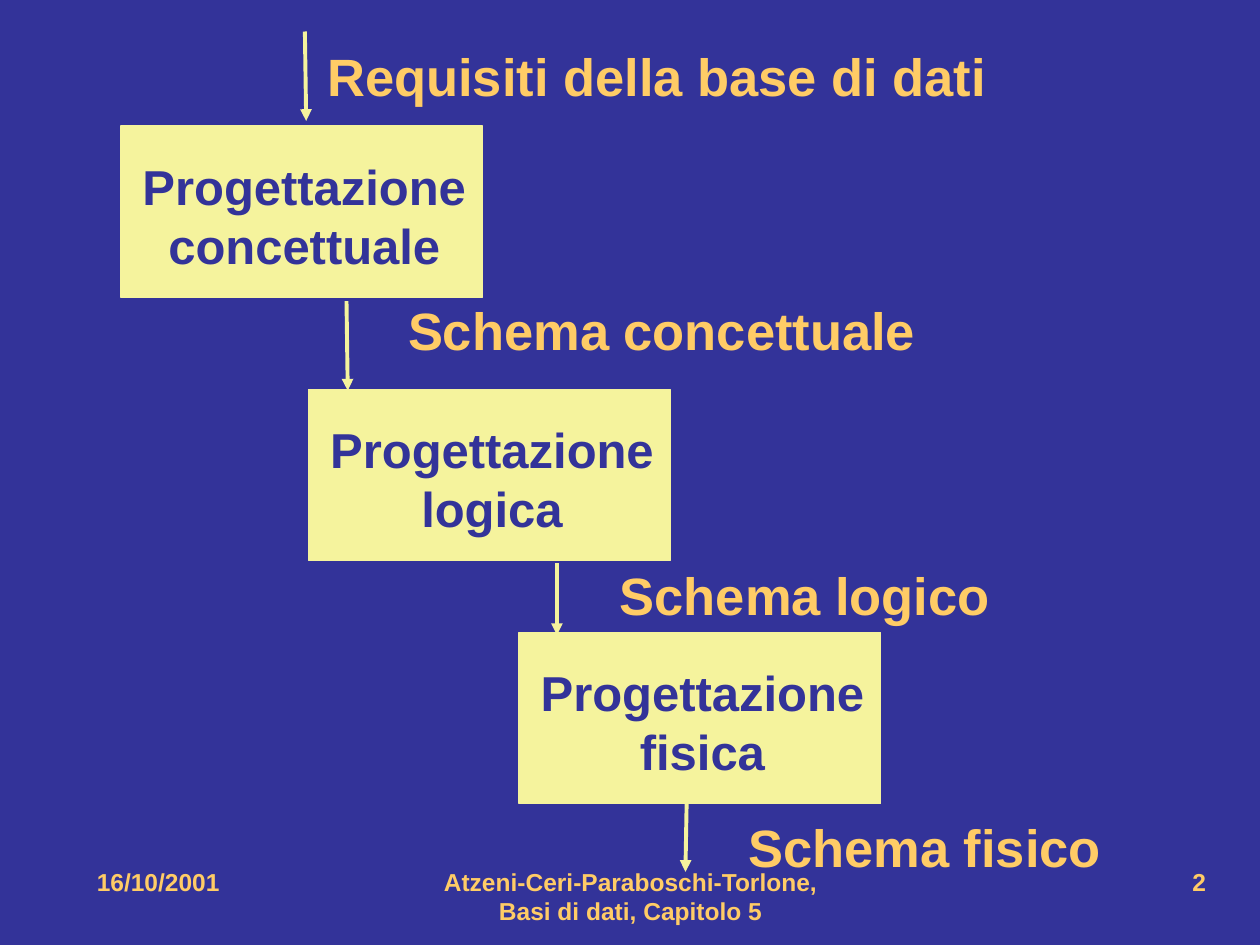
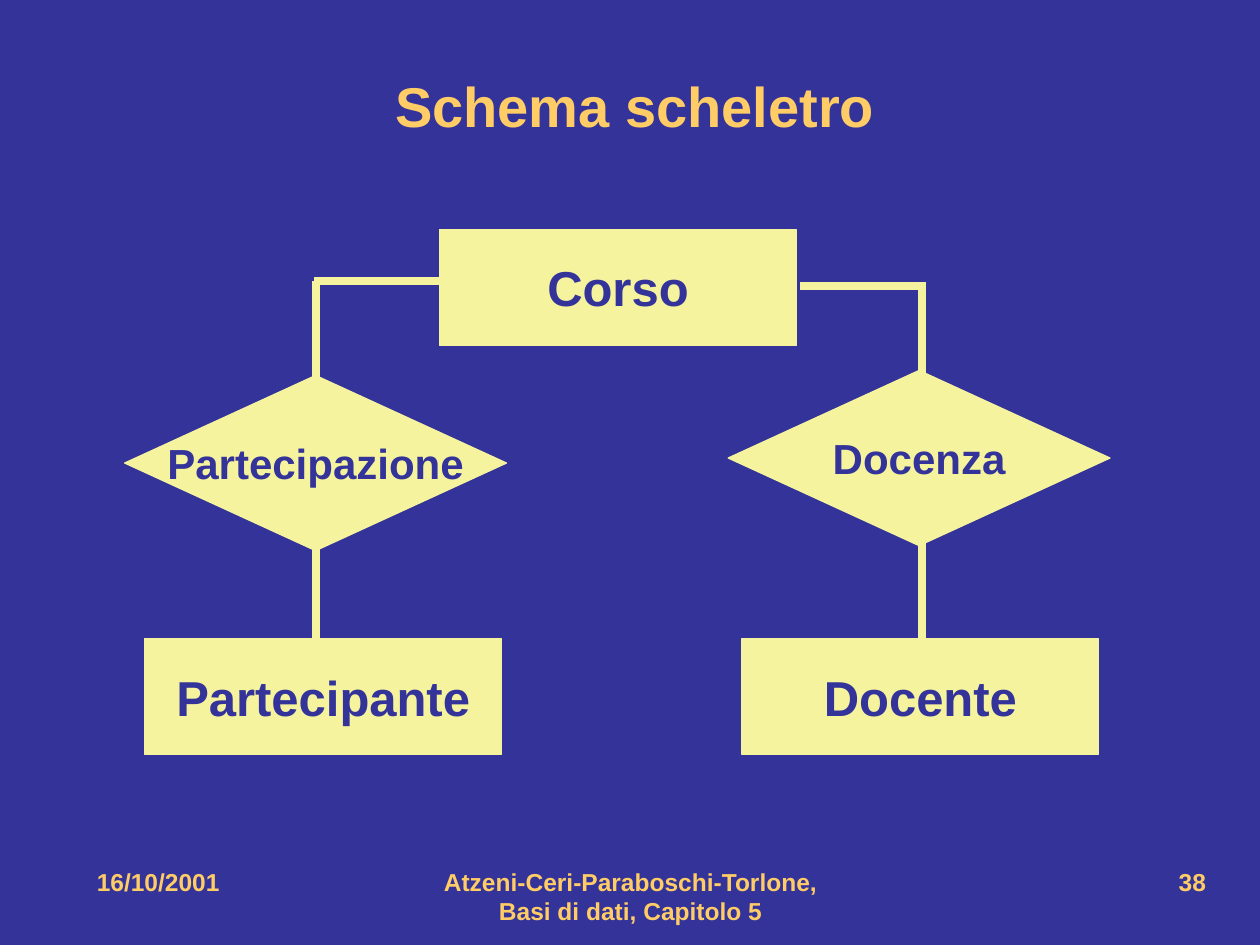
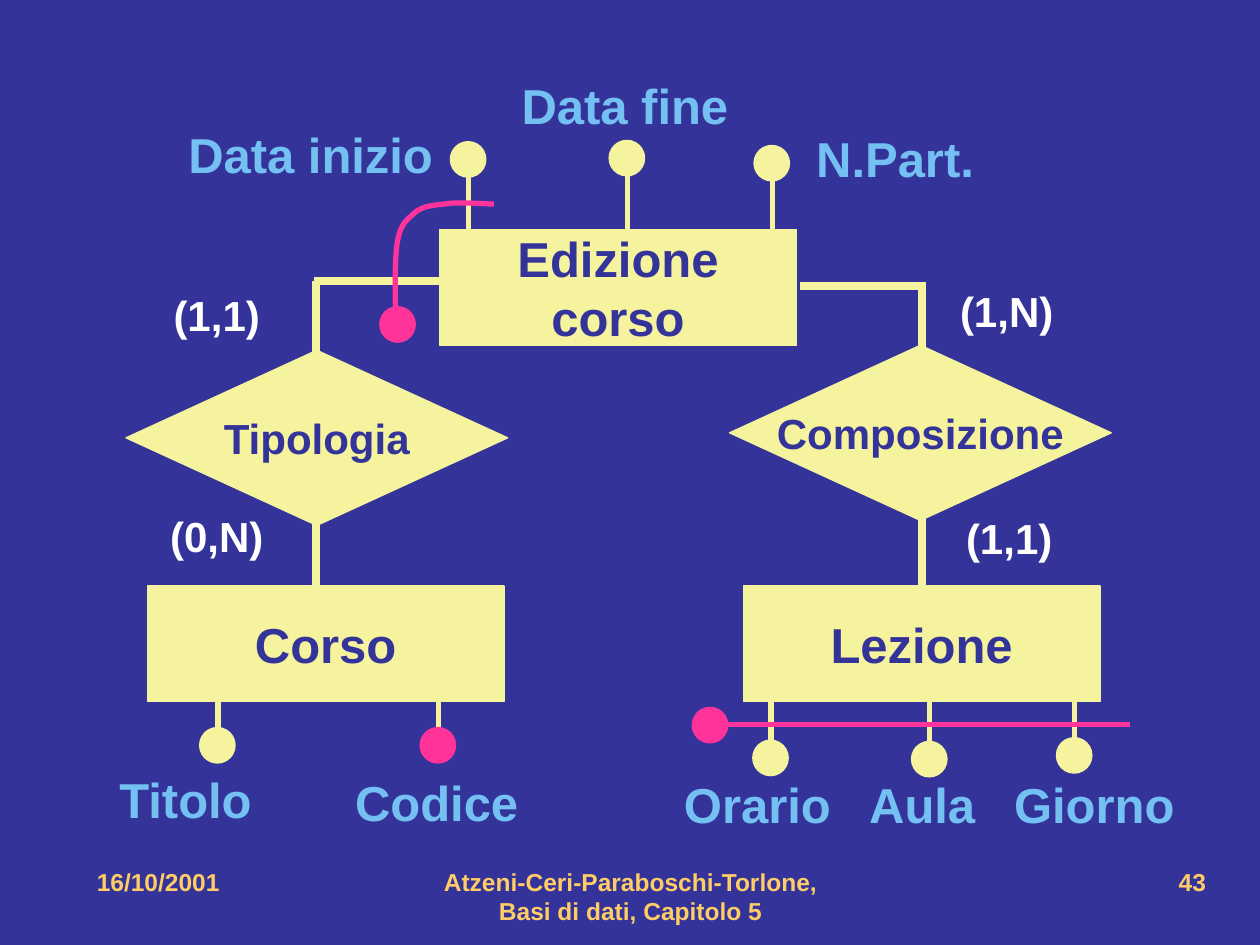
from dataclasses import dataclass

from lxml import etree
from pptx import Presentation
from pptx.dml.color import RGBColor
from pptx.enum.shapes import MSO_CONNECTOR, MSO_SHAPE
from pptx.enum.text import MSO_ANCHOR, MSO_AUTO_SIZE, PP_ALIGN
from pptx.oxml.ns import qn
from pptx.shapes.autoshape import Shape
from pptx.slide import Slide
from pptx.text.text import TextFrame
from pptx.util import Inches, Pt

STRAIGHT = MSO_CONNECTOR.STRAIGHT
RECTANGLE, DIAMOND, OVAL = MSO_SHAPE.RECTANGLE, MSO_SHAPE.DIAMOND, MSO_SHAPE.OVAL
LEFT, CENTER, RIGHT = PP_ALIGN.LEFT, PP_ALIGN.CENTER, PP_ALIGN.RIGHT
TOP, MIDDLE = MSO_ANCHOR.TOP, MSO_ANCHOR.MIDDLE
FIXED_SIZE, FIT_TEXT = MSO_AUTO_SIZE.NONE, MSO_AUTO_SIZE.SHAPE_TO_FIT_TEXT

NAVY = RGBColor(0x33, 0x33, 0x99)
YELLOW = RGBColor(0xF5, 0xF3, 0x9D)
ORANGE = RGBColor(0xFF, 0xCC, 0x66)
SKY = RGBColor(0x75, 0xC0, 0xF3)
PINK = RGBColor(0xFF, 0x33, 0x99)
WHITE = RGBColor(0xFF, 0xFF, 0xFF)

FONT = "Arial"
TITLE_ONLY, BLANK = 5, 6
DATE = "16/10/2001"
SOURCE = "Atzeni-Ceri-Paraboschi-Torlone, Basi di dati, Capitolo 5"
FOOTER_TOP, FOOTER_HEIGHT = 6.83, 0.5
ENTITY_WIDTH, ENTITY_HEIGHT = 2.83, 0.92
RELATION_WIDTH, RELATION_HEIGHT = 3.03, 1.39
DOT = 0.25
STEM = 0.75
CURVE_STEPS = 12

Point = tuple[float, float]
Area = tuple[float, float, float, float]


@dataclass(frozen=True)
class Phase:
    name: str
    left: float
    top: float


@dataclass(frozen=True)
class Label:
    text: str
    area: Area
    align: PP_ALIGN = LEFT


@dataclass(frozen=True)
class Arrow:
    start: Point
    end: Point


@dataclass(frozen=True)
class Branch:
    relation: str
    relation_at: Point
    entity: str
    entity_at: Point


@dataclass(frozen=True)
class Attribute:
    label: Label
    center: float
    dot_top: float
    above: bool = False
    color: RGBColor = YELLOW


PHASES = (
    Phase("concettuale", 0.96, 1.0),
    Phase("logica", 2.45, 3.09),
    Phase("fisica", 4.12, 5.02),
)
PHASE_ARROWS = (
    Arrow((2.42, 0.25), (2.43, 0.96)),
    Arrow((2.75, 2.39), (2.76, 3.1)),
    Arrow((4.42, 4.47), (4.42, 5.04)),
    Arrow((5.45, 6.35), (5.44, 6.92)),
)
PHASE_RESULTS = (
    Label("Requisiti della base di dati", (2.5, 0.3, 5.43, 0.6)),
    Label("Schema concettuale", (3.14, 2.32, 4.23, 0.6)),
    Label("Schema logico", (4.82, 4.42, 3.14, 0.6)),
    Label("Schema fisico", (5.84, 6.42, 3.0, 0.6)),
)
SKELETON_BRANCHES = (
    Branch("Partecipazione", (0.99, 2.98), "Partecipante", (1.15, 5.07)),
    Branch("Docenza", (5.78, 2.94), "Docente", (5.89, 5.07)),
)
EDITION_BRANCHES = (
    Branch("Tipologia", (1.0, 2.78), "Corso", (1.17, 4.65)),
    Branch("Composizione", (5.79, 2.74), "Lezione", (5.9, 4.65)),
)
BRANCH_LINES = (
    ((3.49, 2.23), (2.49, 2.23)),
    ((2.51, 2.23), (2.51, 5.15)),
    ((6.35, 2.27), (7.35, 2.27)),
    ((7.32, 2.27), (7.32, 5.19)),
)
CARDINALITIES = (
    Label("(1,1)", (1.27, 2.25, 0.9, 0.5), CENTER),
    Label("(0,N)", (1.24, 4.0, 0.96, 0.5), CENTER),
    Label("(1,N)", (7.51, 2.22, 0.96, 0.5), CENTER),
    Label("(1,1)", (7.56, 4.02, 0.9, 0.5), CENTER),
)
ATTRIBUTES = (
    Attribute(Label("Data inizio", (1.39, 0.94, 2.15, 0.57), CENTER), 3.72, 1.14, True),
    Attribute(Label("Data fine", (4.03, 0.55, 1.86, 0.57), CENTER), 4.98, 1.13, True),
    Attribute(Label("N.Part.", (6.38, 0.97, 1.46, 0.57)), 6.13, 1.17, True),
    Attribute(Label("Titolo", (0.85, 6.06, 1.26, 0.57)), 1.73, 5.79),
    Attribute(Label("Codice", (2.72, 6.08, 1.51, 0.57)), 3.48, 5.79, color=PINK),
    Attribute(Label("Orario", (5.33, 6.1, 1.38, 0.57)), 6.12, 5.89),
    Attribute(Label("Aula", (6.8, 6.1, 1.05, 0.57)), 7.38, 5.9),
    Attribute(Label("Giorno", (7.95, 6.1, 1.48, 0.57)), 8.53, 5.87),
)
IDENTIFIER_START: Point = (3.92, 1.62)
IDENTIFIER_CURVES = (
    ((3.86, 1.62), (3.63, 1.6), (3.53, 1.62)),
    ((3.42, 1.63), (3.34, 1.64), (3.28, 1.7)),
    ((3.21, 1.76), (3.17, 1.8), (3.15, 1.95)),
    ((3.13, 2.09), (3.14, 2.43), (3.14, 2.56)),
)


def write_text(
    frame: TextFrame,
    text: str,
    *,
    size: float,
    color: RGBColor,
    align: PP_ALIGN = CENTER,
    anchor: MSO_ANCHOR = MIDDLE,
    wrap: bool = False,
    grow: bool = False,
    margins: Point = (0.1, 0.05),
) -> None:
    frame.text = text
    frame.word_wrap = wrap
    frame.auto_size = FIT_TEXT if grow else FIXED_SIZE
    frame.vertical_anchor = anchor
    frame.margin_left = frame.margin_right = Inches(margins[0])
    frame.margin_top = frame.margin_bottom = Inches(margins[1])
    for paragraph in frame.paragraphs:
        paragraph.alignment = align
        for run in paragraph.runs:
            run.font.name = FONT
            run.font.size = Pt(size)
            run.font.bold = True
            run.font.color.rgb = color


def add_text(slide: Slide, label: Label, **text_format) -> None:
    box = slide.shapes.add_textbox(*map(Inches, label.area))
    write_text(box.text_frame, label.text, align=label.align, **text_format)


def add_figure(
    slide: Slide,
    kind: MSO_SHAPE,
    area: Area,
    color: RGBColor = YELLOW,
    line_width: float = 0.75,
) -> Shape:
    shape = slide.shapes.add_shape(kind, *map(Inches, area))
    shape.shadow.inherit = False
    shape.fill.solid()
    shape.fill.fore_color.rgb = color
    shape.line.color.rgb = color
    shape.line.width = Pt(line_width)
    return shape


def add_line(
    slide: Slide,
    start: Point,
    end: Point,
    width: float,
    color: RGBColor = YELLOW,
    arrow: bool = False,
) -> None:
    connector = slide.shapes.add_connector(STRAIGHT, *map(Inches, start + end))
    connector.line.color.rgb = color
    connector.line.width = Pt(width)
    properties = connector._element.spPr
    if arrow:
        etree.SubElement(properties.find(qn("a:ln")), qn("a:tailEnd"), type="triangle")
    etree.SubElement(properties, qn("a:effectLst"))


def add_entity(slide: Slide, name: str, position: Point) -> None:
    shape = add_figure(slide, RECTANGLE, position + (ENTITY_WIDTH, ENTITY_HEIGHT))
    write_text(shape.text_frame, name, size=28, color=NAVY)


def add_relation(slide: Slide, name: str, position: Point) -> None:
    shape = add_figure(slide, DIAMOND, position + (RELATION_WIDTH, RELATION_HEIGHT))
    write_text(shape.text_frame, name, size=24, color=NAVY)


def add_dot(slide: Slide, left: float, top: float, color: RGBColor) -> None:
    add_figure(slide, OVAL, (left, top, DOT, DOT), color, 3)


def add_phase(slide: Slide, phase: Phase) -> None:
    add_figure(slide, RECTANGLE, (phase.left, phase.top, 2.87, 1.36))
    inner = add_figure(
        slide, RECTANGLE, (phase.left + 0.17, phase.top + 0.24, 2.57, 0.93)
    )
    write_text(
        inner.text_frame,
        f"Progettazione\n{phase.name}",
        size=28,
        color=NAVY,
        anchor=TOP,
        grow=True,
        margins=(0, 0),
    )


def add_attribute(slide: Slide, attribute: Attribute) -> None:
    if attribute.above:
        stem_start = attribute.dot_top + DOT - 0.01
        stem_end = stem_start + STEM
    else:
        stem_start = attribute.dot_top + 0.01
        stem_end = stem_start - STEM
    center = attribute.center
    add_line(slide, (center, stem_start), (center, stem_end), 3)
    add_dot(slide, center - 0.13, attribute.dot_top, attribute.color)
    add_text(slide, attribute.label, size=28, color=SKY, anchor=TOP, grow=True)


def add_branches(slide: Slide, root: str, branches: tuple[Branch, ...]) -> None:
    for start, end in BRANCH_LINES:
        add_line(slide, start, end, 4.5)
    add_entity(slide, root, (3.49, 1.82))
    for branch in branches:
        add_relation(slide, branch.relation, branch.relation_at)
        add_entity(slide, branch.entity, branch.entity_at)


def curve_points(start: Point, curves: tuple) -> list[Point]:
    points = []
    for first, second, end in curves:
        for step in range(1, CURVE_STEPS + 1):
            t = step / CURVE_STEPS
            u = 1 - t
            points.append(
                tuple(
                    u**3 * a + 3 * u * u * t * b + 3 * u * t * t * c + t**3 * d
                    for a, b, c, d in zip(start, first, second, end)
                )
            )
        start = end
    return points


def add_identifier_curve(slide: Slide) -> None:
    builder = slide.shapes.build_freeform(*map(Inches, IDENTIFIER_START))
    points = curve_points(IDENTIFIER_START, IDENTIFIER_CURVES)
    builder.add_line_segments([(Inches(x), Inches(y)) for x, y in points], close=False)
    curve = builder.convert_to_shape()
    curve.shadow.inherit = False
    curve.fill.background()
    curve.line.color.rgb = PINK
    curve.line.width = Pt(3)


def add_footer(slide: Slide, number: int) -> None:
    for text, left, width, align in (
        (SOURCE, 3.42, 3.17, CENTER),
        (str(number), 7.17, 2.5, RIGHT),
        (DATE, 0.67, 2.17, LEFT),
    ):
        label = Label(text, (left, FOOTER_TOP, width, FOOTER_HEIGHT), align)
        add_text(slide, label, size=14, color=ORANGE, anchor=TOP, wrap=True)


def set_title(slide: Slide, text: str) -> None:
    title = slide.shapes.title
    title.left, title.top = Inches(0.5), Inches(0.25)
    title.width, title.height = Inches(9.08), Inches(1.17)
    write_text(title.text_frame, text, size=32, color=ORANGE, wrap=True)


def build_phases(slide: Slide) -> None:
    for phase in PHASES:
        add_phase(slide, phase)
    for arrow in PHASE_ARROWS:
        add_line(slide, arrow.start, arrow.end, 2.25, arrow=True)
    for result in PHASE_RESULTS:
        add_text(slide, result, size=30, color=ORANGE, anchor=TOP, grow=True)
    add_footer(slide, 2)


def build_skeleton(slide: Slide) -> None:
    set_title(slide, "Schema scheletro")
    add_branches(slide, "Corso", SKELETON_BRANCHES)
    add_footer(slide, 38)


def build_edition(slide: Slide) -> None:
    for attribute in ATTRIBUTES:
        add_attribute(slide, attribute)
    add_branches(slide, "Edizione\ncorso", EDITION_BRANCHES)
    for cardinality in CARDINALITIES:
        add_text(slide, cardinality, size=24, color=WHITE, grow=True)
    add_dot(slide, 5.51, 5.63, PINK)
    add_line(slide, (8.97, 5.75), (5.75, 5.75), 3, PINK)
    add_dot(slide, 3.03, 2.45, PINK)
    add_identifier_curve(slide)
    add_footer(slide, 43)


def main() -> None:
    presentation = Presentation()
    presentation.slide_width = Inches(10)
    presentation.slide_height = Inches(7.5)
    background = presentation.slide_master.background.fill
    background.solid()
    background.fore_color.rgb = NAVY
    for build, layout in (
        (build_phases, BLANK),
        (build_skeleton, TITLE_ONLY),
        (build_edition, BLANK),
    ):
        build(presentation.slides.add_slide(presentation.slide_layouts[layout]))
    presentation.save("out.pptx")


if __name__ == "__main__":
    main()
